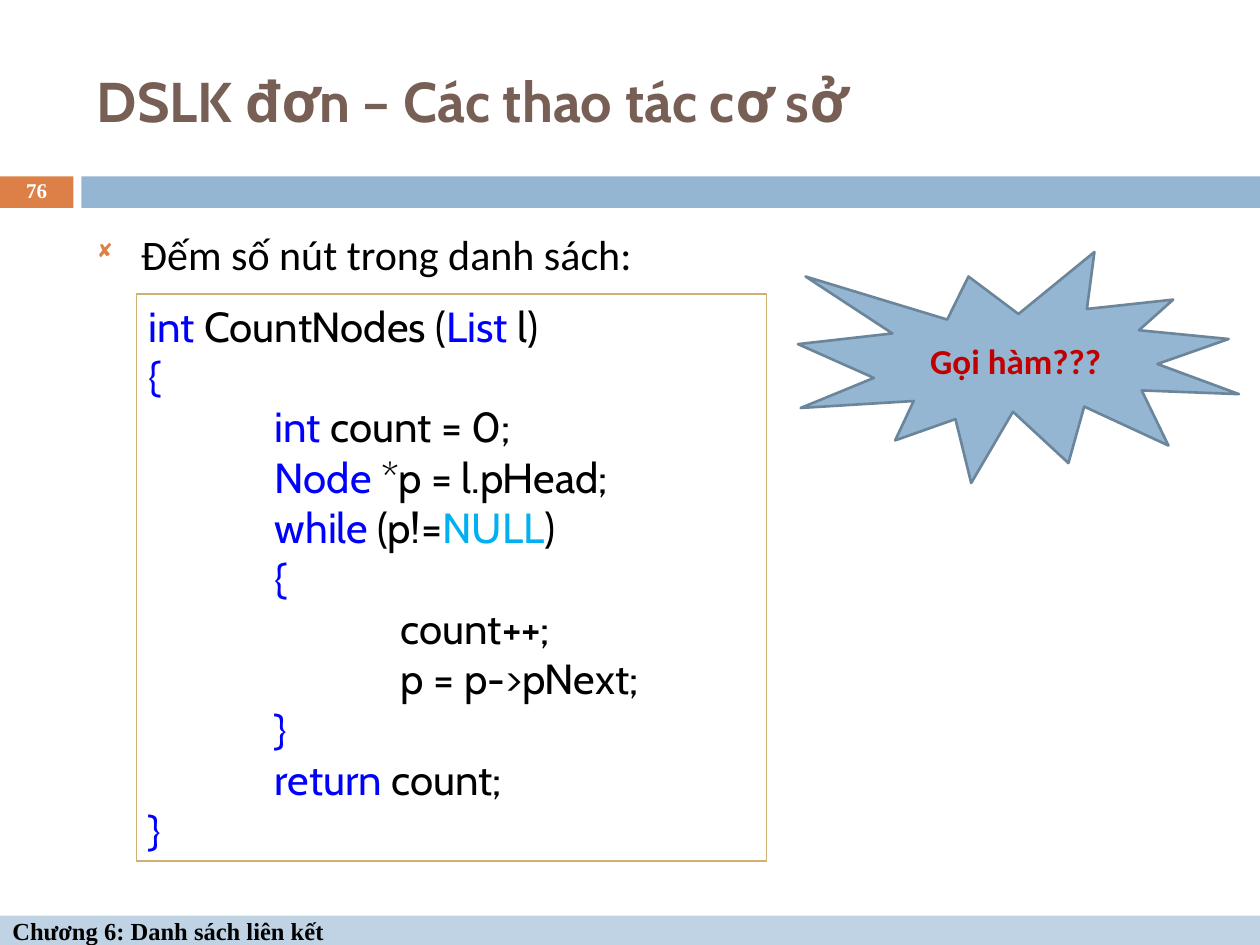
from lxml.etree import SubElement
from pptx import Presentation
from pptx.dml.color import RGBColor
from pptx.enum.shapes import MSO_SHAPE
from pptx.enum.text import MSO_ANCHOR, MSO_AUTO_SIZE, PP_ALIGN
from pptx.oxml.ns import qn
from pptx.util import Inches, Pt

COLS, ROWS = 120, 90
BLUE, ORANGE, BLACK = "94B6D2", "DD8047", "000000"
KEYWORD, CONSTANT = "0000FF", "00B0F0"

TITLE = {"name": "Cabin", "size": Pt(32), "bold": True}
BODY = {"name": "Calibri", "size": Pt(24), "bold": False}
CODE = {"name": "Cabin", "size": Pt(24), "bold": False}
FOOTER = {"name": "Times New Roman", "size": Pt(14), "bold": True}
NUMBER = {"name": "Times New Roman", "size": Pt(12), "bold": True}
CALLOUT = {"name": "Calibri", "size": Pt(20), "bold": True}

CODE_LINES = [
    "|int| CountNodes (|List| l)",
    "|{|",
    "\t|int| count = 0;",
    "\t|Node| *p = l.pHead;",
    "\t|while| (p!=|NULL|)",
    "\t|{|",
    "\t\tcount++;",
    "\t\tp = p->pNext;",
    "\t|}|",
    "\t|return| count;",
    "|}|",
]


def rgb(value):
    """Turn a hex string into a colour."""
    return RGBColor.from_string(value)


def place(prs, col, row, cols, rows):
    """Turn grid columns and rows into left, top, width and height."""
    w, h = prs.slide_width / COLS, prs.slide_height / ROWS
    return int(col * w), int(row * h), int(cols * w), int(rows * h)


def add_run(p, text, font, color):
    """Add one formatted run to a paragraph."""
    r = p.add_run()
    r.text = text
    for key, value in font.items():
        setattr(r.font, key, value)
    r.font.color.rgb = rgb(color)


def add_panel(prs, s, grid, fill=None, line=None, width=0, kind=MSO_SHAPE.RECTANGLE):
    """Add a preset shape with an optional fill and outline."""
    sp = s.shapes.add_shape(kind, *place(prs, *grid))
    sp.shadow.inherit = False
    if fill:
        sp.fill.solid()
        sp.fill.fore_color.rgb = rgb(fill)
    else:
        sp.fill.background()
    if line:
        sp.line.color.rgb = rgb(line)
        sp.line.width = Pt(width)
    else:
        sp.line.fill.background()
    return sp


def add_text(prs, s, grid):
    """Add an empty wrapping text box."""
    return s.shapes.add_textbox(*place(prs, *grid))


def write(sp, text, font, color, anchor=MSO_ANCHOR.MIDDLE, align=PP_ALIGN.LEFT):
    """Write one line of text into a shape and return its paragraph."""
    tf = sp.text_frame
    for key, value in {"word_wrap": True, "vertical_anchor": anchor}.items():
        setattr(tf, key, value)
    p = tf.paragraphs[0]
    p.alignment = align
    add_run(p, text, font, color)
    return p


def add_bullet(p, char, color, percent):
    """Give a paragraph a hanging coloured bullet."""
    pPr = p._p.get_or_add_pPr()
    pPr.set("marL", str(Inches(0.35)))
    pPr.set("indent", str(-Inches(0.35)))
    SubElement(SubElement(pPr, qn("a:buClr")), qn("a:srgbClr"), val=color)
    SubElement(pPr, qn("a:buSzPct"), val=str(percent * 1000))
    SubElement(pPr, qn("a:buFont"), typeface="Wingdings")
    SubElement(pPr, qn("a:buChar"), char=char)


def add_tabs(p, count):
    """Set left tab stops one inch apart."""
    tabs = SubElement(p._p.get_or_add_pPr(), qn("a:tabLst"))
    for i in range(count):
        SubElement(tabs, qn("a:tab"), pos=str(Inches(i + 1)), algn="l")


def write_code(sp, lines):
    """Write code lines, colouring the parts between bars as keywords."""
    tf = sp.text_frame
    settings = {"word_wrap": True, "vertical_anchor": MSO_ANCHOR.TOP,
                "auto_size": MSO_AUTO_SIZE.SHAPE_TO_FIT_TEXT}
    for key, value in settings.items():
        setattr(tf, key, value)
    for i, line in enumerate(lines):
        p = tf.add_paragraph() if i else tf.paragraphs[0]
        p.alignment = PP_ALIGN.LEFT
        add_tabs(p, 7)
        for j, part in enumerate(line.split("|")):
            color = CONSTANT if part == "NULL" else KEYWORD if j % 2 else BLACK
            if part:
                add_run(p, part, CODE, color)


def main():
    """Build the slide and save it."""
    prs = Presentation()
    prs.slide_width, prs.slide_height = Inches(10), Inches(7.5)
    s = prs.slides.add_slide(prs.slide_layouts[6])

    add_panel(prs, s, (0, 16.8, 7, 3), ORANGE)
    add_panel(prs, s, (7.75, 16.8, 112.25, 3), BLUE)
    footer = add_panel(prs, s, (0, 87.2, 120, 2.8), "BFD3E4")
    write(footer, "Chương 6: Danh sách liên kết", FOOTER, BLACK)

    title = add_text(prs, s, (8.05, 3, 107, 13))
    write(title, "DSLK đơn – Các thao tác cơ sở", TITLE, "775F55")

    body = add_text(prs, s, (8.05, 21, 107, 59))
    p = write(body, "Đếm số nút trong danh sách:", BODY, BLACK, MSO_ANCHOR.TOP)
    for key, value in {"line_spacing": Pt(30), "space_before": Pt(6)}.items():
        setattr(p, key, value)
    add_bullet(p, "◻", ORANGE, 60)

    number = add_text(prs, s, (0, 16.7, 7, 3.2))
    p = write(number, "76", NUMBER, "FFFFFF", align=PP_ALIGN.CENTER)
    p.line_spacing = 0.8

    write_code(add_panel(prs, s, (13, 28, 60, 54), line="D0AF72", width=0.75), CODE_LINES)

    burst = add_panel(prs, s, (76, 24, 42, 22), BLUE, "6B859A", 1.5, MSO_SHAPE.EXPLOSION1)
    write(burst, "Gọi hàm???", CALLOUT, "C00000", align=PP_ALIGN.CENTER)

    prs.save("out.pptx")


if __name__ == "__main__":
    main()
